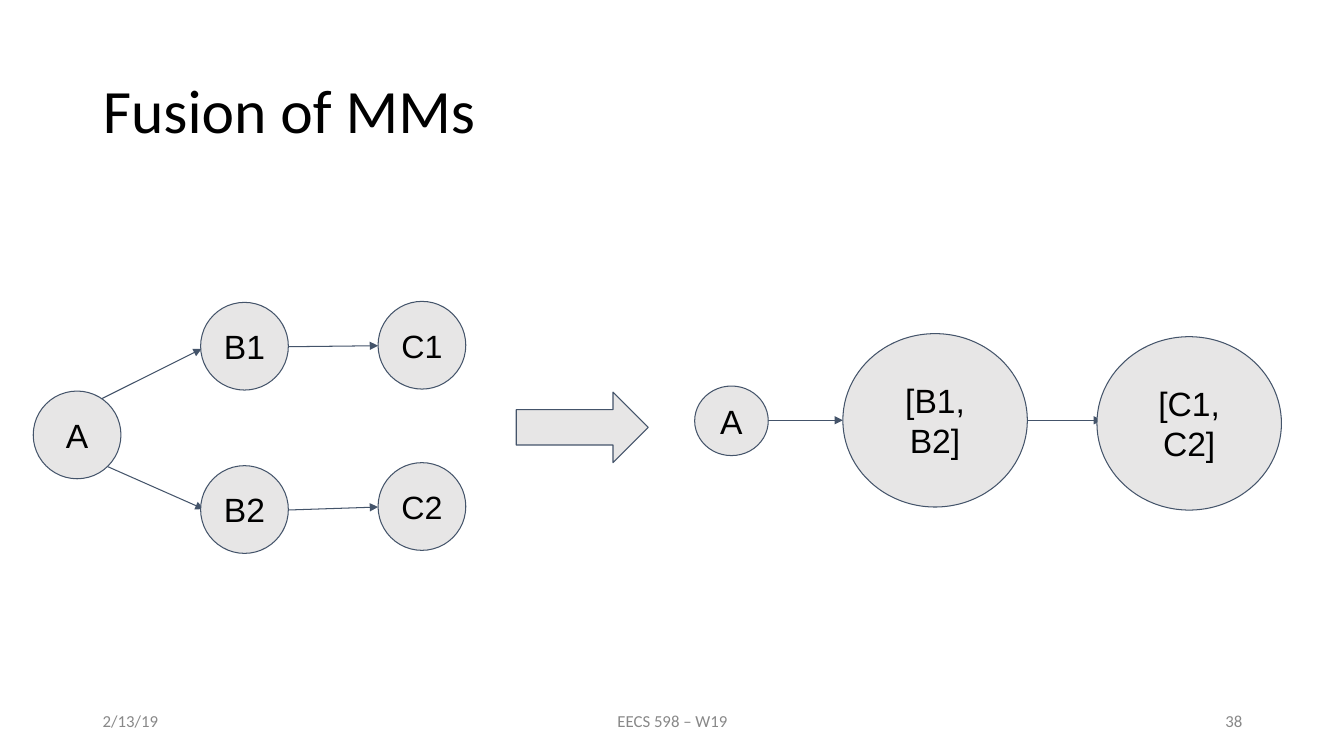
from lxml import etree
from pptx import Presentation
from pptx.dml.color import RGBColor
from pptx.enum import shapes, text
from pptx.oxml import ns
from pptx.util import Inches, Pt

BLACK = RGBColor(0, 0, 0)
GRAY = RGBColor(0x88, 0x88, 0x88)
SILVER = RGBColor(0xE7, 0xE6, 0xE6)
SLATE = RGBColor(0x44, 0x54, 0x6A)

TITLE = "Fusion of MMs"
TITLE_BOX = (0.92, 0.4, 11.5, 1.45)
FOOTERS = [
    ("2/13/19", 0.92, 3, text.PP_ALIGN.LEFT),
    ("EECS 598 – W19", 4.42, 4.5, text.PP_ALIGN.CENTER),
    ("38", 9.42, 3, text.PP_ALIGN.RIGHT),
]
FOOTER_TOP, FOOTER_HEIGHT = 6.95, 0.4

SMALL, MEDIUM, LARGE = (0.87, 0.87), (0.73, 0.69), (1.83, 1.72)
NODES = [
    ("A", 0.33, 3.88, SMALL, 24),
    ("B1", 1.99, 3, SMALL, 24),
    ("B2", 1.99, 4.62, SMALL, 24),
    ("C1", 3.75, 2.99, SMALL, 23),
    ("C2", 3.75, 4.59, SMALL, 23),
    ("A", 6.89, 3.83, MEDIUM, 24),
    ("[B1, B2]", 8.36, 3.31, LARGE, 24),
    ("[C1, C2]", 10.88, 3.34, LARGE, 24),
]
EDGES = [
    (1, 3.96, 2, 3.46),
    (1.07, 4.63, 2.02, 5.05),
    (2.85, 3.44, 3.75, 3.43),
    (2.85, 5.06, 3.75, 5.03),
    (7.62, 4.17, 8.36, 4.17),
    (10.19, 4.17, 10.93, 4.17),
]
FUSION_ARROW = (5.12, 3.89, 1.31, 0.7)


def inches(values):
    return [Inches(value) for value in values]


def write(shape, words, size, font, color, align, inset=0.05):
    frame = shape.text_frame
    frame.word_wrap = True
    frame.auto_size = text.MSO_AUTO_SIZE.NONE
    frame.vertical_anchor = text.MSO_ANCHOR.MIDDLE
    frame.margin_left = frame.margin_right = Inches(0.1)
    frame.margin_top = frame.margin_bottom = Inches(inset)
    para = frame.paragraphs[0]
    para.alignment = align
    span = para.add_run()
    span.text = words
    span.font.size = Pt(size)
    span.font.name = font
    span.font.color.rgb = color
    return para


def add_outlined(page, kind, box):
    shape = page.shapes.add_shape(kind, *inches(box))
    shape.shadow.inherit = False
    shape.fill.solid()
    shape.fill.fore_color.rgb = SILVER
    shape.line.color.rgb = SLATE
    shape.line.width = Pt(0.75)
    return shape


def add_edge(page, ends):
    edge = page.shapes.add_connector(shapes.MSO_CONNECTOR.STRAIGHT, *inches(ends))
    edge.line.color.rgb = SLATE
    edge.line.width = Pt(0.75)
    etree.SubElement(edge.line._get_or_add_ln(), ns.qn("a:tailEnd"), type="triangle")
    etree.SubElement(edge._element.spPr, ns.qn("a:effectLst"))


def main():
    deck = Presentation()
    deck.slide_width, deck.slide_height = inches((13.33, 7.5))
    page = deck.slides.add_slide(deck.slide_layouts[5])

    title = page.shapes.title
    title.left, title.top, title.width, title.height = inches(TITLE_BOX)
    para = write(title, TITLE, 44, "Calibri", BLACK, text.PP_ALIGN.LEFT)
    para.line_spacing = 0.9

    for words, left, width, align in FOOTERS:
        box = page.shapes.add_textbox(*inches((left, FOOTER_TOP, width, FOOTER_HEIGHT)))
        write(box, words, 12, "Calibri", GRAY, align)

    for ends in EDGES:
        add_edge(page, ends)
    for label, left, top, extent, size in NODES:
        node = add_outlined(page, shapes.MSO_SHAPE.OVAL, (left, top, *extent))
        write(node, label, size, "Arial", BLACK, text.PP_ALIGN.CENTER, 0.1)
    add_outlined(page, shapes.MSO_SHAPE.RIGHT_ARROW, FUSION_ARROW)

    deck.save("out.pptx")


if __name__ == "__main__":
    main()
